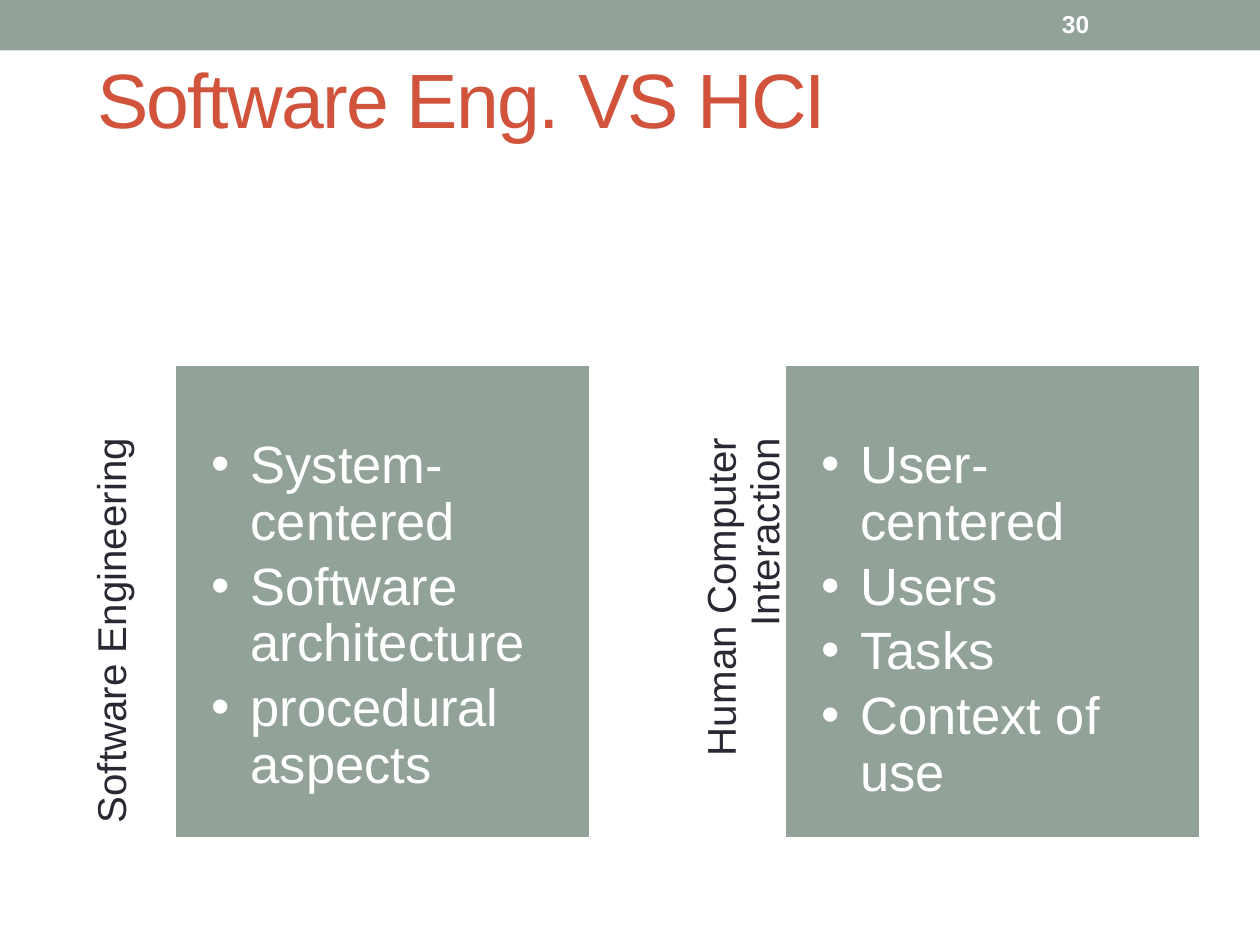
import pptx
import pptx.util
import pptx.dml.color
import pptx.enum.shapes
import pptx.enum.text
import pptx.oxml
import pptx.oxml.ns

SAGE = pptx.dml.color.RGBColor(0x93, 0xA2, 0x99)
RUST = pptx.dml.color.RGBColor(0xD2, 0x53, 0x3C)
INK = pptx.dml.color.RGBColor(0x29, 0x29, 0x34)
WHITE = pptx.dml.color.RGBColor(0xFF, 0xFF, 0xFF)

Inches, Pt = pptx.util.Inches, pptx.util.Pt
ANCHOR = pptx.enum.text.MSO_ANCHOR
ALIGN = pptx.enum.text.PP_ALIGN

TWO_CONTENT = 3  # layout with a title and two body placeholders


class SlideBuilder:
    """Places styled elements on a grid of 100 columns by 75 rows."""

    cell = Inches(0.1)
    font_name = "Arial"

    def __init__(self, presentation):
        presentation.slide_width = 100 * self.cell
        presentation.slide_height = 75 * self.cell
        self.slide = presentation.slides.add_slide(presentation.slide_layouts[TWO_CONTENT])

    def grid(self, *lengths):
        return [round(length * self.cell) for length in lengths]

    def place(self, shape, area):
        shape.left, shape.top, shape.width, shape.height = self.grid(*area)

    def frame(self, shape, anchor, insets=(1, 0.5, 1, 0.5)):
        frame = shape.text_frame
        frame.word_wrap = True
        frame.auto_size = pptx.enum.text.MSO_AUTO_SIZE.NONE
        frame.vertical_anchor = anchor
        (frame.margin_left, frame.margin_top,
         frame.margin_right, frame.margin_bottom) = self.grid(*insets)
        return frame

    def style(self, paragraph, size, color, align=ALIGN.LEFT, bold=False):
        paragraph.alignment = align
        font = paragraph.font
        font.name, font.size, font.bold = self.font_name, Pt(size), bold
        font.color.rgb = color

    def band(self, area, color):
        shape = self.slide.shapes.add_shape(
            pptx.enum.shapes.MSO_SHAPE.RECTANGLE, *self.grid(*area))
        shape.shadow.inherit = False
        shape.fill.solid()
        shape.fill.fore_color.rgb = color
        shape.line.fill.background()
        self.slide.shapes._spTree.insert(2, shape._element)  # send to back

    def title(self, text, area):
        shape = self.slide.shapes.title
        self.place(shape, area)
        paragraph = self.frame(shape, ANCHOR.MIDDLE).paragraphs[0]
        run = paragraph.add_run()
        run.text = text
        self.style(paragraph, 44, RUST)
        run._r.get_or_add_rPr().set("spc", "-100")

    def text(self, text, area, size, color, anchor=ANCHOR.MIDDLE,
             insets=(1, 0.5, 1, 0.5), rotation=0, **style):
        shape = self.slide.shapes.add_textbox(*self.grid(*area))
        shape.rotation = rotation
        paragraph = self.frame(shape, anchor, insets).paragraphs[0]
        paragraph.text = text
        paragraph.line_spacing = 0.9
        self.style(paragraph, size, color, **style)

    def bullet_panel(self, placeholder, items, area):
        shape = self.slide.placeholders[placeholder]
        self.place(shape, area)
        shape.fill.solid()
        shape.fill.fore_color.rgb = SAGE
        shape.line.color.rgb = WHITE
        shape.line.width = Pt(2.08)
        frame = self.frame(shape, ANCHOR.TOP, (3, 5.9, 3, 3))
        frame.text = "\n".join(items)
        for paragraph in frame.paragraphs:
            self.style(paragraph, 30, WHITE)
            paragraph.line_spacing = 0.9
            paragraph.space_before, paragraph.space_after = Pt(0), Pt(4.5)
            properties = paragraph._p.get_or_add_pPr()
            properties.set("marL", str(Inches(0.31)))
            properties.set("indent", str(-Inches(0.31)))
            bullet = pptx.oxml.parse_xml(
                f'<a:buChar {pptx.oxml.ns.nsdecls("a")} char="•"/>')
            # The bullet goes before the default run properties
            properties.find(pptx.oxml.ns.qn("a:defRPr")).addprevious(bullet)


def main():
    presentation = pptx.Presentation()
    builder = SlideBuilder(presentation)

    # Header band, slide number and title
    builder.band((0, 0, 100, 4), SAGE)
    builder.text("30", (83.3, 0.2, 11.7, 3.6), 14, WHITE, bold=True)
    builder.title("Software Eng. VS HCI", (6.7, 3, 88.3, 9.5))

    # Compared fields: upright label beside a bulleted panel
    fields = [
        ("Software Engineering",
         ["System-centered", "Software architecture", "procedural aspects"]),
        ("Human Computer Interaction",
         ["User-centered", "Users", "Tasks", "Context of use"]),
    ]
    first_left, pitch = 13.8, 48.4
    for index, (label, items) in enumerate(fields):
        left = first_left + index * pitch
        builder.bullet_panel(index + 1, items, (left, 28.9, 33.1, 37.7))
        builder.text(label, (left - 22.1, 44.4, 37.7, 6.6), 23, INK, anchor=ANCHOR.TOP,
                     insets=(0, 0, 5.9, 0), rotation=270, align=ALIGN.RIGHT)

    presentation.save("out.pptx")


if __name__ == "__main__":
    main()
